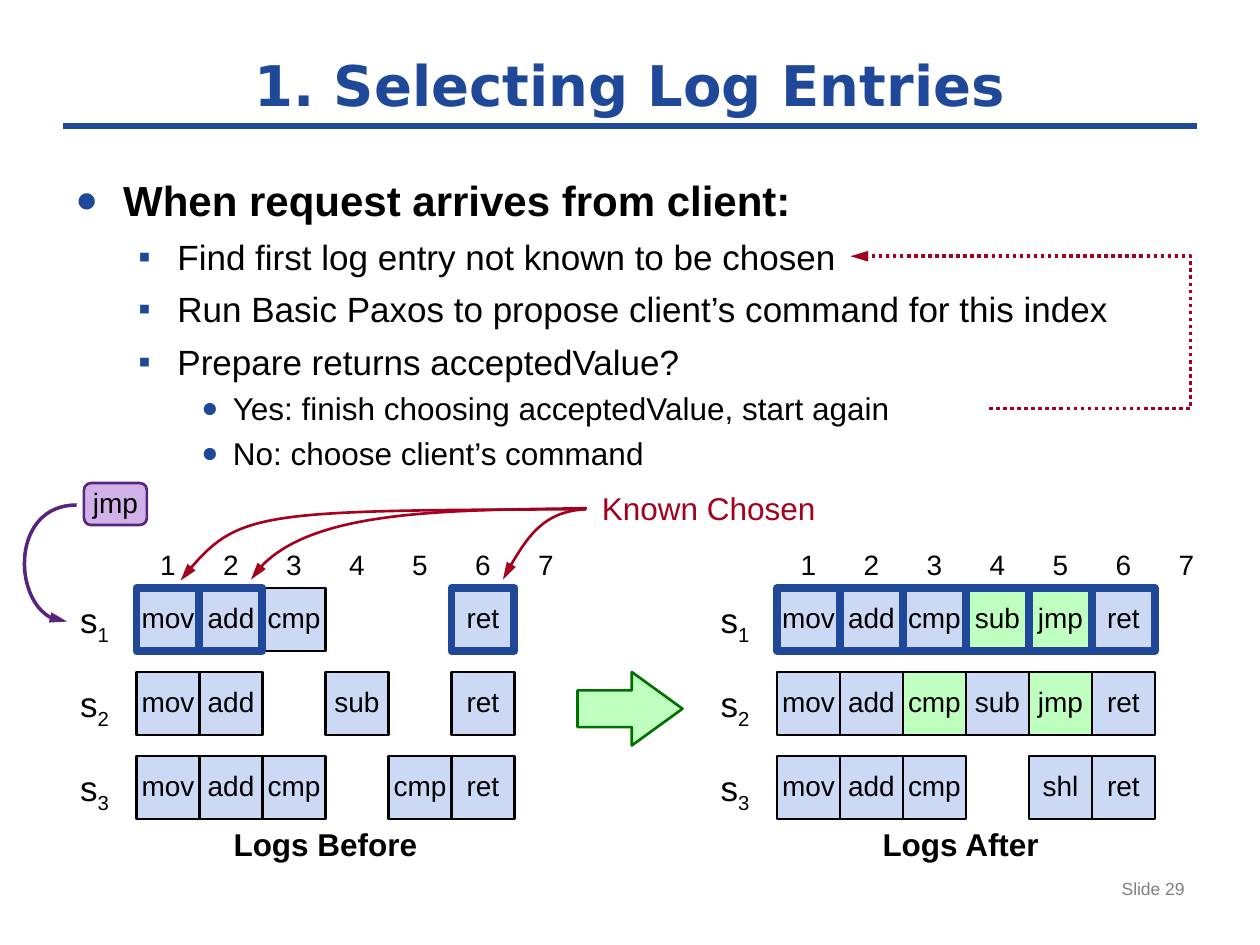
from lxml import etree
from pptx import Presentation
from pptx import util as u
from pptx.dml.color import RGBColor
from pptx.enum import dml, shapes, text
from pptx.oxml.ns import qn

COLORS = {
    "blue": "1F4899", "cell": "CCD9F4", "new": "BFFFBF", "green": "007000",
    "red": "A5001E", "purple": "57257D", "lilac": "D1B2E8",
    "black": "000000", "gray": "7F7F7F",
}
UNIT = u.Inches(1) // 12  # the grid has 120 columns and 90 rows
CELL, ROW_STEP = 6, 8
LOG_TOP = 56

CENTER, RIGHT = text.PP_ALIGN.CENTER, text.PP_ALIGN.RIGHT
MIDDLE, TOP = text.MSO_ANCHOR.MIDDLE, text.MSO_ANCHOR.TOP

# One entry per outline level: left margin, hanging indent, space before, bullet, bullet %, size
LEVELS = [
    (0.38, 0.38, 12, "●", 90, 24),
    (0.81, 0.31, 6, "▪", 100, 20),
    (1.25, 0.25, 4, "●", 90, 18),
]
OUTLINE = [
    (0, "When request arrives from client:"),
    (1, "Find first log entry not known to be chosen"),
    (1, "Run Basic Paxos to propose client’s command for this index"),
    (1, "Prepare returns acceptedValue?"),
    (2, "Yes: finish choosing acceptedValue, start again"),
    (2, "No: choose client’s command"),
]
LOGS_BEFORE = ["mov add cmp - - ret", "mov add - sub - ret", "mov add cmp - cmp ret"]
LOGS_AFTER = ["mov add cmp sub jmp ret", "mov add cmp sub jmp ret", "mov add cmp - shl ret"]


def grid(*values):
    return [round(value * UNIT) for value in values]


def color(name):
    return RGBColor.from_string(COLORS[name])


def add_xml(parent, tag, **attributes):
    return etree.SubElement(parent, qn(tag), attributes)


def bezier(points, steps=40):
    """Sample a cubic curve given by its four control points."""
    samples = []
    for step in range(steps + 1):
        t = step / steps
        weights = (1 - t) ** 3, 3 * t * (1 - t) ** 2, 3 * t * t * (1 - t), t ** 3
        samples.append(tuple(
            sum(weight * point[axis] for weight, point in zip(weights, points))
            for axis in (0, 1)))
    return samples


class Slide:
    font = "Arial"

    def __init__(self, deck):
        self.shapes = deck.slides.add_slide(deck.slide_layouts[6]).shapes

    def style(self, span, size, ink="black", bold=False, font=None):
        span.font.name = font or self.font
        span.font.size = u.Pt(size)
        span.font.bold = bold
        span.font.color.rgb = color(ink)

    def label(self, words, left, top, width, height, size, ink="black", bold=False,
              font=None, align=CENTER, anchor=TOP, wrap=True):
        box = self.shapes.add_textbox(*grid(left, top, width, height))
        frame = box.text_frame
        frame.text = words
        frame.word_wrap = wrap
        frame.vertical_anchor = anchor
        para = frame.paragraphs[0]
        para.alignment = align
        self.style(para.runs[0], size, ink, bold, font)
        return frame

    def server(self, number, left, top):
        frame = self.label("s", left, top, CELL, 4.1, 20)
        frame.margin_left = frame.margin_right = frame.margin_top = frame.margin_bottom = 0
        span = frame.paragraphs[0].add_run()
        span.text = str(number)
        self.style(span, 20)
        span.font._element.set("baseline", "-25000")

    def shape(self, kind, left, top, width, height, fill, line, weight=1.5):
        shape = self.shapes.add_shape(kind, *grid(left, top, width, height))
        shape.shadow.inherit = False
        shape.fill.solid()
        shape.fill.fore_color.rgb = color(fill)
        shape.line.color.rgb = color(line)
        shape.line.width = u.Pt(weight)
        return shape

    def command(self, word, left, top, fill="cell", line="black", weight=1.5,
                height=CELL, kind=shapes.MSO_SHAPE.RECTANGLE):
        frame = self.shape(kind, left, top, CELL, height, fill, line, weight).text_frame
        frame.margin_left = frame.margin_right = frame.margin_top = frame.margin_bottom = 0
        frame.vertical_anchor = MIDDLE
        frame.text = word
        para = frame.paragraphs[0]
        para.alignment = CENTER
        para.line_spacing = u.Pt(17)
        self.style(para.runs[0], 16)

    def rule(self, left, right, row, ink, weight):
        line = self.shapes.add_connector(
            shapes.MSO_CONNECTOR.STRAIGHT, *grid(left, row, right, row))
        line.line.color.rgb = color(ink)
        line.line.width = u.Pt(weight)
        add_xml(line.element.spPr, "a:effectLst")

    def arrow(self, points, ink, weight, curved=True, dash=None):
        """Draw an open line with an arrowhead at its last point."""
        outline = [grid(*point) for point in (bezier(points) if curved else points)]
        builder = self.shapes.build_freeform(*outline[0])
        builder.add_line_segments(outline[1:], close=False)
        shape = builder.convert_to_shape()
        shape.shadow.inherit = False
        shape.fill.background()
        shape.line.color.rgb = color(ink)
        shape.line.width = u.Pt(weight)
        if dash:
            shape.line.dash_style = dash
        add_xml(shape.line._get_or_add_ln(), "a:tailEnd", type="triangle", w="med", len="lg")
        if curved:
            self.smooth(shape, points)

    def smooth(self, shape, points):
        """Replace the sampled segments by one true cubic curve."""
        route = shape.element.xpath(".//a:path")[0]
        for segment in route.findall(qn("a:lnTo")):
            route.remove(segment)
        curve = add_xml(route, "a:cubicBezTo")
        for point in points[1:]:
            x, y = grid(*point)
            add_xml(curve, "a:pt", x=str(x - shape.left), y=str(y - shape.top))

    def outline(self, entries, left, top, width, height):
        frame = self.shapes.add_textbox(*grid(left, top, width, height)).text_frame
        frame.word_wrap = True
        for index, (level, words) in enumerate(entries):
            para = frame.add_paragraph() if index else frame.paragraphs[0]
            margin, hanging, before, bullet, percent, size = LEVELS[level]
            para.text = words
            para.level = level
            para.space_before = u.Pt(before)
            self.style(para.runs[0], size, bold=level == 0)
            properties = para._p.get_or_add_pPr()
            properties.set("marL", str(u.Inches(margin)))
            properties.set("indent", str(-u.Inches(hanging)))
            add_xml(add_xml(properties, "a:buClr"), "a:srgbClr", val=COLORS["blue"])
            add_xml(properties, "a:buSzPct", val=str(percent * 1000))
            add_xml(properties, "a:buFont", typeface=self.font)
            add_xml(properties, "a:buChar", char=bullet)

    def logs(self, left, rows, chosen, new=()):
        """Draw the server logs; chosen lists columns of the first row, new lists (row, column)."""
        for column in range(7):
            self.label(str(column + 1), left + column * CELL, LOG_TOP - 4.4, CELL, 4.4, 16)
        entries = [(row, column, word) for row, words in enumerate(rows)
                   for column, word in enumerate(words.split()) if word != "-"]
        # Chosen entries come last so that their heavy frames stay on top
        for row, column, word in sorted(entries, key=lambda e: e[0] == 0 and e[1] in chosen):
            frame = ("blue", 4.5) if row == 0 and column in chosen else ("black", 1.5)
            fill = "new" if (row, column) in new else "cell"
            self.command(word, left + column * CELL, LOG_TOP + row * ROW_STEP, fill, *frame)
        for row in range(len(rows)):
            self.server(row + 1, left - 7, LOG_TOP + 1 + row * ROW_STEP)


def main():
    deck = Presentation()
    deck.slide_width, deck.slide_height = grid(120, 90)
    slide = Slide(deck)

    slide.rule(6, 114, 12, "blue", 4)
    slide.label("1. Selecting Log Entries", 6, 4, 108, 8, 32, "blue", True,
                font="DejaVu Sans", anchor=MIDDLE)
    slide.outline(OUTLINE, 6, 16, 108, 34)
    slide.label("Slide 29", 86, 83, 28, 5.2, 10, "gray", align=RIGHT)

    slide.logs(13, LOGS_BEFORE, chosen={0, 1, 5})
    slide.logs(74, LOGS_AFTER, chosen=set(range(6)), new={(0, 3), (0, 4), (1, 2), (1, 4)})
    slide.label("Logs Before", 19, 78, 24, 4.8, 18, bold=True)
    slide.label("Logs After", 80, 78, 23, 4.8, 18, bold=True)

    step = slide.shape(shapes.MSO_SHAPE.RIGHT_ARROW, 55, 64, 10, 7, "new", "green")
    step.adjustments[0], step.adjustments[1] = 0.5, 0.69
    slide.arrow([(94.2, 38.9), (113.4, 38.9), (113.4, 24.4), (81, 24.4)], "red", 2,
                curved=False, dash=dml.MSO_LINE.ROUND_DOT)

    slide.command("jmp", 8, 46, "lilac", "purple", height=4,
                  kind=shapes.MSO_SHAPE.ROUNDED_RECTANGLE)
    slide.arrow([(7.3, 48.1), (1.1, 48.1), (1.1, 59.2), (6.4, 59.2)], "purple", 2)

    slide.label("Known Chosen", 56, 46, 23, 4.8, 18, "red", wrap=False)
    for curve in (
        [(55.8, 48.5), (25.4, 48.6), (22.3, 48.7), (17.2, 55.3)],
        [(55.9, 48.4), (42.7, 48.6), (28.1, 48.5), (23.9, 55.2)],
        [(55.8, 48.5), (52, 48.7), (49.9, 51.4), (47.9, 55.2)],
    ):
        slide.arrow(curve, "red", 1.5)

    deck.save("out.pptx")


if __name__ == "__main__":
    main()
